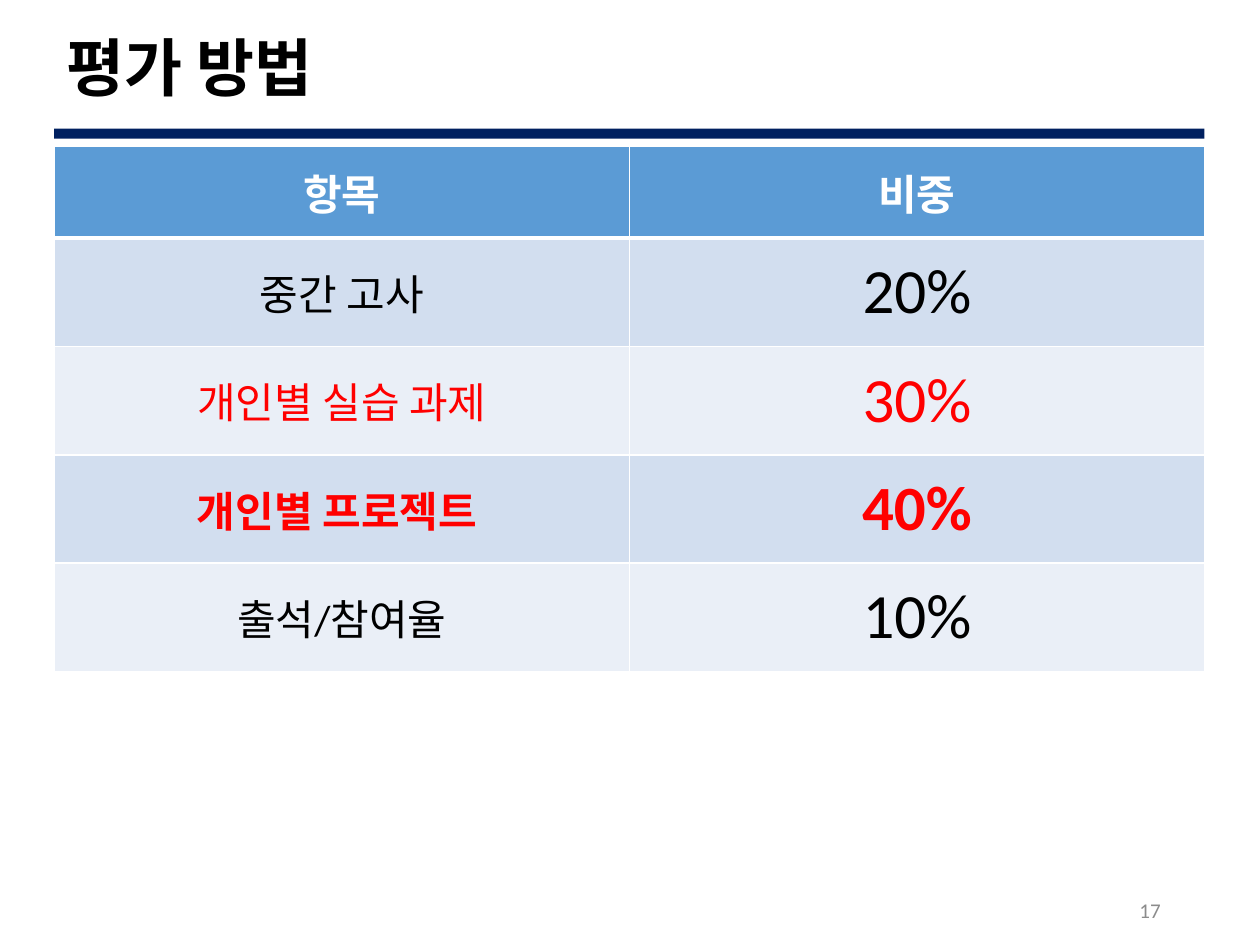
from lxml.etree import SubElement
from pptx import Presentation
from pptx.dml.color import RGBColor
from pptx.enum.shapes import MSO_SHAPE
from pptx.enum.text import MSO_ANCHOR, PP_ALIGN
from pptx.oxml.ns import qn
from pptx.util import Inches, Pt

FONT = "Calibri"
WHITE, BLACK, RED, NAVY = "FFFFFF", "000000", "FF0000", "002060"
HEADER_FILL, BAND_FILLS = "5B9BD5", ("D2DEEF", "EAEFF7")
MARGIN, CONTENT_WIDTH = 0.43, 9.13
HEADER_HEIGHT, ROW_HEIGHT = 0.73, 0.86

HEADINGS = ("항목", "비중")
GRADES = (
    ("중간 고사", "20%", BLACK, False),
    ("개인별 실습 과제", "30%", RED, False),
    ("개인별 프로젝트 ", "40%", RED, True),
    ("출석/참여율", "10%", BLACK, False),
)


def rgb(value):
    return RGBColor.from_string(value)


def write(frame, text, size, color, bold=False, align=PP_ALIGN.LEFT):
    frame.text = text
    paragraph = frame.paragraphs[0]
    paragraph.alignment = align
    font = paragraph.runs[0].font
    font.name, font.size, font.bold = FONT, Pt(size), bold
    font.color.rgb = rgb(color)
    return paragraph


def add_heading(slide, left, top, width, height):
    title = slide.shapes.title
    title.left, title.top = Inches(left), Inches(top)
    title.width, title.height = Inches(width), Inches(height)
    title.text_frame.vertical_anchor = MSO_ANCHOR.MIDDLE
    write(title.text_frame, "평가 방법", 36, BLACK, True).line_spacing = 0.9


def add_rule(slide, left, top, width, height):
    rule = slide.shapes.add_shape(
        MSO_SHAPE.RECTANGLE, Inches(left), Inches(top), Inches(width), Inches(height)
    )
    rule.shadow.inherit = False
    rule.fill.solid()
    rule.fill.fore_color.rgb = rgb(NAVY)
    rule.line.fill.background()


def set_borders(cell, bottom, top):
    properties = cell._tc.get_or_add_tcPr()
    for side, points in (("L", 1), ("R", 1), ("T", top), ("B", bottom)):
        line = SubElement(properties, qn(f"a:ln{side}"), w=str(Pt(points)))
        fill = SubElement(line, qn("a:solidFill"))
        SubElement(fill, qn("a:srgbClr"), val=WHITE)


def fill_cell(cell, text, size, color, bold, background, top=1, bottom=1):
    set_borders(cell, bottom, top)
    cell.fill.solid()
    cell.fill.fore_color.rgb = rgb(background)
    cell.vertical_anchor = MSO_ANCHOR.MIDDLE
    write(cell.text_frame, text, size, color, bold, PP_ALIGN.CENTER)


def add_grades(slide, left, top, width):
    height = HEADER_HEIGHT + ROW_HEIGHT * len(GRADES)
    table = slide.shapes.add_table(
        len(GRADES) + 1, len(HEADINGS),
        Inches(left), Inches(top), Inches(width), Inches(height),
    ).table
    table.rows[0].height = Inches(HEADER_HEIGHT)
    for column, heading in enumerate(HEADINGS):
        fill_cell(table.cell(0, column), heading, 24, WHITE, True, HEADER_FILL, bottom=3)
    for row, (item, weight, color, bold) in enumerate(GRADES, 1):
        table.rows[row].height = Inches(ROW_HEIGHT)
        background = BAND_FILLS[(row - 1) % 2]
        top_border = 3 if row == 1 else 1
        for column, (text, size) in enumerate(((item, 24), (weight, 36))):
            fill_cell(table.cell(row, column), text, size, color, bold, background, top_border)


def add_page_number(slide, left, top, width, height):
    number = slide.shapes.add_textbox(
        Inches(left), Inches(top), Inches(width), Inches(height)
    ).text_frame
    number.word_wrap = True
    number.vertical_anchor = MSO_ANCHOR.MIDDLE
    write(number, "17", 12, "8C8C8C", align=PP_ALIGN.RIGHT)


def main():
    deck = Presentation()
    deck.slide_width, deck.slide_height = Inches(10), Inches(7.5)
    slide = deck.slides.add_slide(deck.slide_layouts.get_by_name("Title Only"))
    add_rule(slide, MARGIN, 1.02, CONTENT_WIDTH, 0.08)
    add_heading(slide, MARGIN, 0.18, CONTENT_WIDTH, 0.77)
    add_grades(slide, MARGIN, 1.16, CONTENT_WIDTH)
    add_page_number(slide, 7.06, 7.05, 2.25, 0.35)
    deck.save("out.pptx")


if __name__ == "__main__":
    main()
